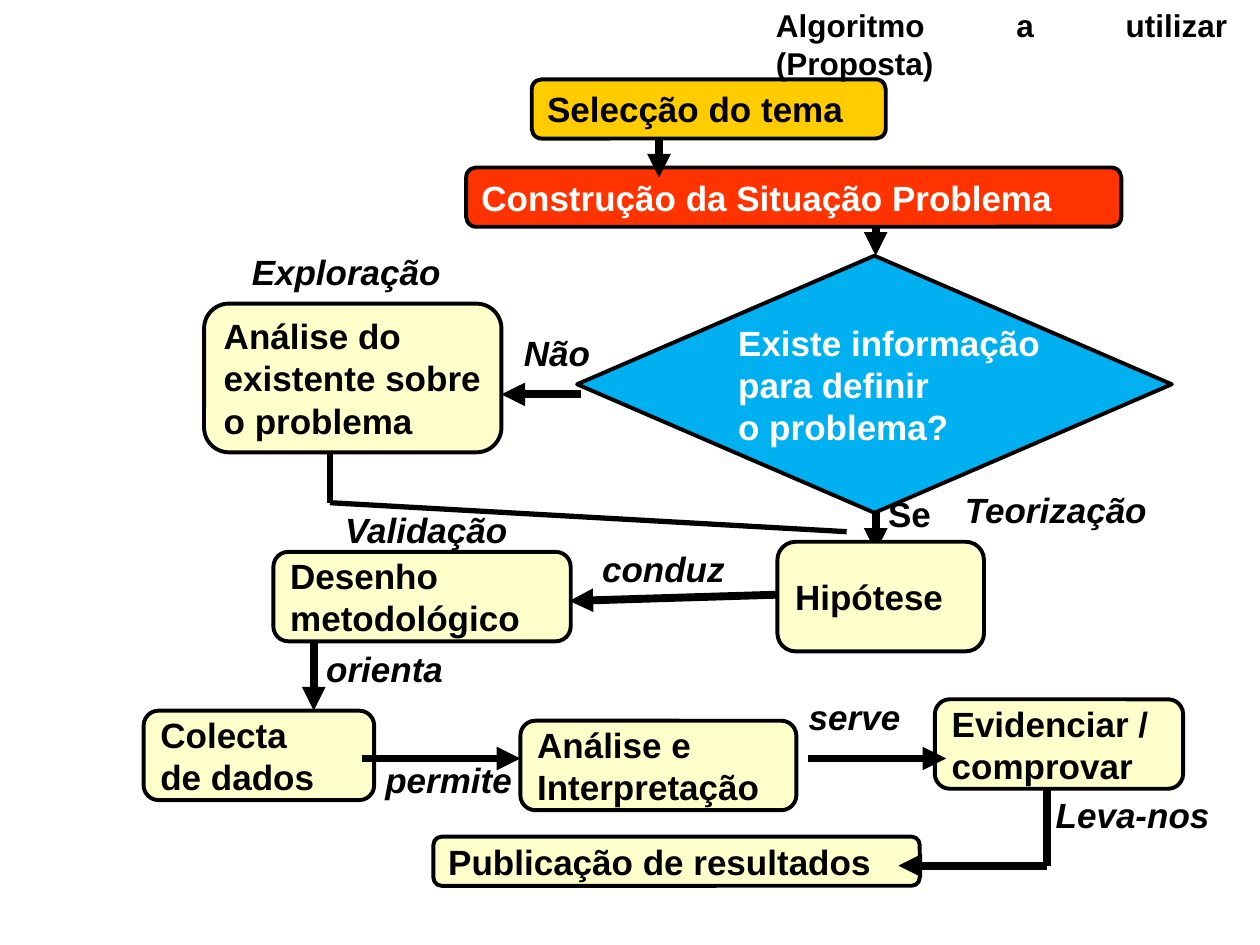
"""Build a flowchart slide of a proposed research algorithm."""
from lxml.etree import SubElement
from pptx import Presentation
from pptx.dml.color import RGBColor
from pptx.enum.shapes import MSO_CONNECTOR as Connector, MSO_SHAPE as Shape
from pptx.enum.text import MSO_ANCHOR as Anchor, MSO_AUTO_SIZE as AutoSize, PP_ALIGN as Align
from pptx.oxml.ns import qn
from pptx.util import Inches, Pt

COLUMNS, ROWS = 100, 75
BLACK, WHITE, CREAM = "000000", "FFFFFF", "FFFFCC"
color = RGBColor.from_string

presentation = Presentation()
presentation.slide_width, presentation.slide_height = Inches(10), Inches(7.5)
slide = presentation.slides.add_slide(presentation.slide_layouts[6])


def cells(x, y, *size):
    units = (presentation.slide_width / COLUMNS, presentation.slide_height / ROWS) * 2
    return [round(count * unit) for count, unit in zip((x, y, *size), units)]


def write_text(shape, text, size=20, ink=BLACK, italic=False, wrap=False,
               anchor=Anchor.TOP, align=Align.LEFT, auto_size=AutoSize.NONE):
    frame = shape.text_frame
    frame.text = text
    frame.word_wrap, frame.vertical_anchor, frame.auto_size = wrap, anchor, auto_size
    for paragraph in frame.paragraphs:
        paragraph.alignment = align
        font = paragraph.font
        font.name, font.size, font.bold, font.italic = "Arial", Pt(size), True, italic
        font.color.rgb = color(ink)


steps = [
    ("Selecção do tema", Shape.ROUNDED_RECTANGLE, (42.2, 6.3, 28.1, 4.7), "FFCC00", BLACK),
    ("Construção da Situação Problema", Shape.ROUNDED_RECTANGLE, (37, 13.3, 52, 4.7), "FF3300", WHITE),
    ("Existe informação\npara definir\no problema?", Shape.DIAMOND, (45.8, 20.3, 47.2, 20.4), "00B0F0", WHITE),
    ("Colecta\nde dados", Shape.ROUNDED_RECTANGLE, (11.4, 56.4, 18.3, 7.1), CREAM, BLACK),
    ("Análise e\nInterpretação", Shape.ROUNDED_RECTANGLE, (41.3, 57.2, 21.9, 7.1), CREAM, BLACK),
    ("Evidenciar /\ncomprovar", Shape.ROUNDED_RECTANGLE, (74.2, 55.5, 19.7, 7.1), CREAM, BLACK),
    ("Publicação de resultados", Shape.ROUNDED_RECTANGLE, (34.4, 66.4, 38.6, 3.9), CREAM, BLACK),
    ("Desenho\nmetodológico", Shape.ROUNDED_RECTANGLE, (21.7, 43.8, 23.6, 7.1), CREAM, BLACK),
    ("Análise do\nexistente sobre\no problema", Shape.ROUNDED_RECTANGLE, (16.2, 24.1, 23.6, 11.8), CREAM, BLACK),
    ("Hipótese", Shape.ROUNDED_RECTANGLE, (61.7, 43, 16.4, 8.7), CREAM, BLACK),
]
links = [
    ((52.3, 10.9), (52.3, 14.1), 4.5, True),
    ((69.5, 18), (69.5, 20.3), 4.5, True),
    ((69.5, 40.6), (69.5, 43.8), 4.5, True),
    ((46.1, 31.3), (39.8, 31.3), 4.5, True),
    ((61.7, 47.2), (45.2, 47.7), 4.5, True),
    ((24.9, 50.9), (24.9, 56.4), 4.5, True),
    ((28.7, 60.2), (41.3, 60.2), 4.5, True),
    ((64.1, 60.2), (75.1, 60.2), 4.5, True),
    ((83.1, 62.6), (83.1, 68.7), 4.5, False),
    ((83.1, 68.7), (71.3, 68.7), 4.5, True),
    ((26.2, 35.9), (26.2, 39.9), 3, False),
    ((26.2, 39.9), (67.2, 42.2), 3, False),
]
labels = [
    ("Se", 69.5, 38.6, 8.7, False),
    ("Não", 40.6, 25.8, 8.7, True),
    ("Validação", 26.4, 39.9, 17.3, True),
    ("Exploração", 19, 19.4, 19.7, True),
    ("Teorização", 75.6, 38.3, 20.5, True),
    ("conduz", 46.8, 43, 14.2, True),
    ("orienta", 24.9, 50.9, 14.2, True),
    ("permite", 29.6, 59.7, 14.2, True),
    ("serve", 63.2, 54.7, 14.2, True),
    ("Leva-nos", 82.8, 62.5, 17.2, True),
]

*early_steps, hypothesis = steps
for group in (early_steps, links, [hypothesis]):
    if group is links:
        for start, end, width, arrow in links:
            connector = slide.shapes.add_connector(Connector.STRAIGHT, *cells(*start), *cells(*end))
            connector.line.color.rgb = color(BLACK)
            connector.line.width = Pt(width)
            properties = connector.element.spPr
            if arrow:
                SubElement(properties.get_or_add_ln(), qn("a:tailEnd"), type="triangle")
            SubElement(properties, qn("a:effectLst"))
        continue
    for text, kind, place, fill, ink in group:
        shape = slide.shapes.add_shape(kind, *cells(*place))
        shape.shadow.inherit = False
        shape.fill.solid()
        shape.fill.fore_color.rgb = color(fill)
        shape.line.color.rgb = color(BLACK)
        shape.line.width = Pt(2.25)
        write_text(shape, text, ink=ink, anchor=Anchor.MIDDLE)

for text, x, y, width, italic in labels:
    label = slide.shapes.add_textbox(*cells(x, y, width, 4.4))
    write_text(label, text, italic=italic, wrap=True, auto_size=AutoSize.SHAPE_TO_FIT_TEXT)

title = slide.shapes.add_textbox(*cells(60.6, 0, 37.8, 4))
write_text(title, "Algoritmo a utilizar (Proposta)", size=18, align=Align.JUSTIFY,
           auto_size=AutoSize.SHAPE_TO_FIT_TEXT)

presentation.save("out.pptx")
